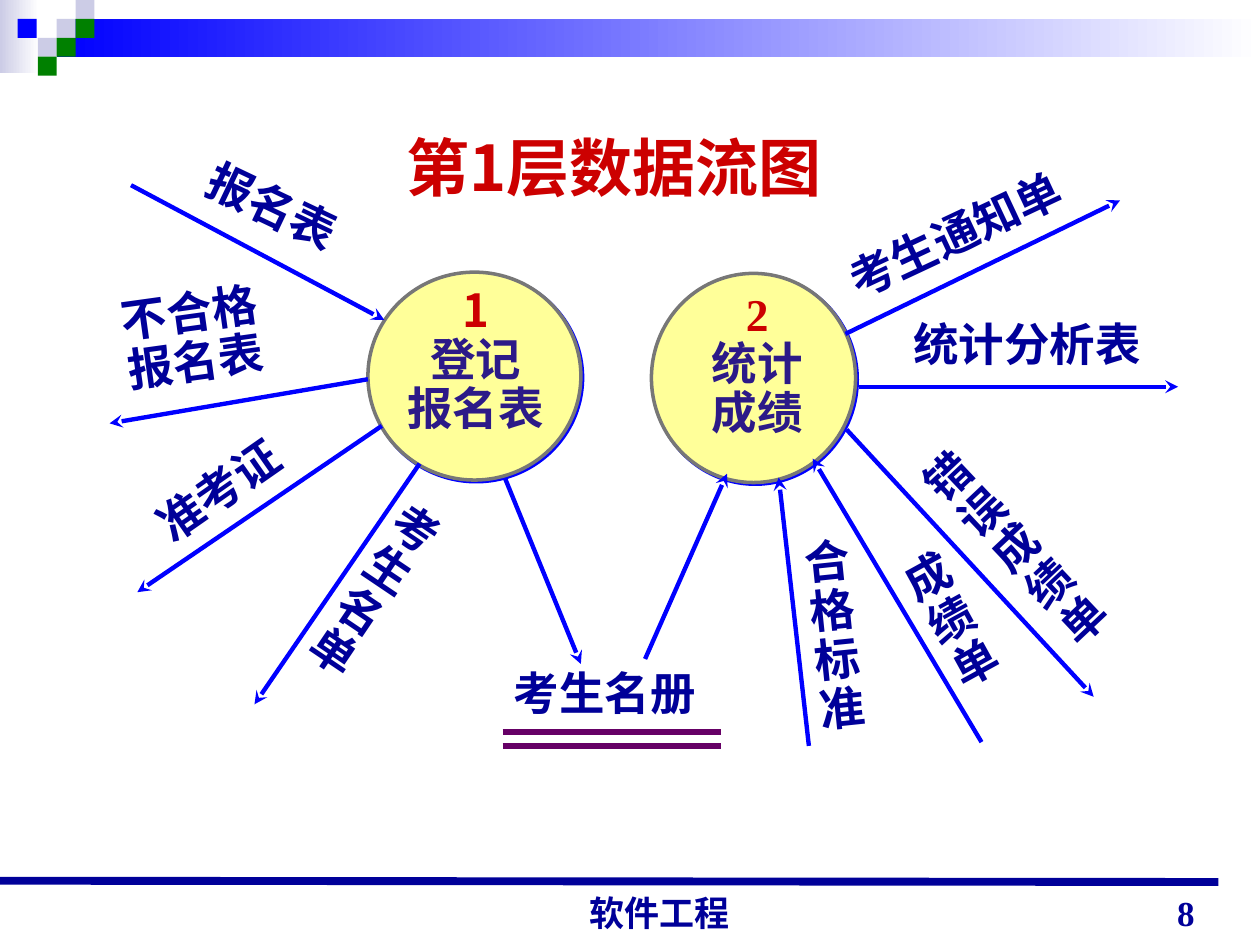
import pptx
import pptx.util
import pptx.dml.color
import pptx.enum.shapes
import pptx.enum.text
import pptx.oxml
import pptx.oxml.ns
from lxml import etree

THEME = {
    "white": "FFFFFF", "mist": "CCCCE6", "blue": "0000FF", "green": "008000",
    "navy": "000099", "red": "CC0000", "indigo": "2C1A88", "plum": "660066",
    "cream": "FFFF99", "grey": "777777",
    "sans": "Noto Sans CJK SC", "serif": "Times New Roman",
    "title": 36, "label": 26, "foot": 20,
    "flow": 2.5, "store": 3, "rim": 2, "rule": 4.5,
}
SHAPE = pptx.enum.shapes.MSO_SHAPE
ALIGN = pptx.enum.text.PP_ALIGN
FIT = pptx.enum.text.MSO_AUTO_SIZE
ANCHOR = pptx.enum.text.MSO_ANCHOR
qn = pptx.oxml.ns.qn

deck = pptx.Presentation()
deck.slide_width = pptx.util.Inches(10)
deck.slide_height = pptx.util.Inches(7.5)
slide = deck.slides.add_slide(deck.slide_layouts[6])
shapes = slide.shapes

# Grid of 100 columns by 75 rows of square cells
CELL = deck.slide_width / 100


def line(x1, y1, x2, y2, tint, width, arrow=False):
    ends = [round(v * CELL) for v in (x1, y1, x2, y2)]
    item = shapes.add_connector(pptx.enum.shapes.MSO_CONNECTOR.STRAIGHT, *ends)
    item.line.color.rgb = pptx.dml.color.RGBColor.from_string(THEME[tint])
    item.line.width = pptx.util.Pt(THEME[width])
    props = item._element.spPr
    if arrow:
        etree.SubElement(props.find(qn("a:ln")), qn("a:tailEnd"), type="stealth")
    etree.SubElement(props, qn("a:effectLst"))


def text(area, rows, size="label", turn=0, align="LEFT", space=1.0, grow=True, wrap=True):
    """Each row is (words, colour, font)."""
    box = shapes.add_textbox(*[round(v * CELL) for v in area])
    box.rotation = turn
    frame = box.text_frame
    frame.word_wrap = wrap
    frame.auto_size = FIT.SHAPE_TO_FIT_TEXT if grow else FIT.NONE
    frame.vertical_anchor = ANCHOR.TOP if grow else ANCHOR.BOTTOM
    for i, (words, tint, face) in enumerate(rows):
        para = frame.add_paragraph() if i else frame.paragraphs[0]
        para.alignment = getattr(ALIGN, align)
        para.line_spacing = space
        run = para.add_run()
        run.text = words
        run.font.size = pptx.util.Pt(THEME[size])
        run.font.bold = True
        run.font.name = THEME[face]
        run.font.color.rgb = pptx.dml.color.RGBColor.from_string(THEME[tint])
        etree.SubElement(run.font._element, qn("a:ea"), typeface=THEME["sans"])


# Header: two fading bars, then small tiles
tiles = [(0, 0, 3.1, 5.8, "mist", True), (4.5, 1.5, 95.5, 3, "blue", True)]
tiles += [(x, y, 1.5, 1.5, tint, False) for x, y, tint in [
    (4.5, 1.5, "mist"), (6, 0, "mist"), (6, 1.5, "green"), (3, 3, "mist"),
    (1.4, 1.5, "blue"), (4.5, 3, "green"), (3, 4.5, "green")]]
for *area, tint, fade in tiles:
    tile = shapes.add_shape(SHAPE.RECTANGLE, *[round(v * CELL) for v in area])
    tile.shadow.inherit = False
    tile.line.fill.background()
    if fade:
        tile.fill.gradient()
        tile.fill.gradient_angle = 180
        for stop, name in zip(tile.fill.gradient_stops, ("white", tint)):
            stop.color.rgb = pptx.dml.color.RGBColor.from_string(THEME[name])
    else:
        tile.fill.solid()
        tile.fill.fore_color.rgb = pptx.dml.color.RGBColor.from_string(THEME[tint])

# Footer rule
line(0, 69.9, 96.7, 70, "navy", "rule")

# Process circles with a hard blue shadow
for area in [(29.2, 21.6, 16.9, 16.5), (51.7, 21.7, 16.2, 16.6)]:
    disc = shapes.add_shape(SHAPE.OVAL, *[round(v * CELL) for v in area])
    disc.shadow.inherit = False
    disc.fill.solid()
    disc.fill.fore_color.rgb = pptx.dml.color.RGBColor.from_string(THEME["cream"])
    disc.line.color.rgb = pptx.dml.color.RGBColor.from_string(THEME["grey"])
    disc.line.width = pptx.util.Pt(THEME["rim"])
    glow = etree.SubElement(disc._element.spPr.find(qn("a:effectLst")), qn("a:outerShdw"),
                            blurRad="0", dist=str(pptx.util.Pt(1.4)), dir="2700000",
                            algn="ctr", rotWithShape="0")
    etree.SubElement(glow, qn("a:srgbClr"), val=THEME["blue"])

# Process names
for area, mark, face, names in [
        ((29.7, 22.4, 16.1, 12.7), "1", "sans", ("登记", "报名表")),
        ((54.1, 22.7, 12, 12.7), "2", "serif", ("统计", "成绩"))]:
    rows = [(mark, "red", face)] + [(name, "indigo", "sans") for name in names]
    text(area, rows, align="CENTER", space=0.9)

# Data flows, each pointing at its second end
for ends in [
        (10.4, 14.7, 30.5, 25.4), (29.2, 30.1, 8.7, 33.6), (30.3, 33.8, 10.9, 47),
        (33.3, 36.8, 20.2, 55.9), (40.1, 38, 46.1, 52.7), (51.2, 52.3, 57.7, 37.6),
        (67.1, 26.5, 88.9, 15.9), (68.2, 30.7, 93.5, 30.7), (67.2, 34.1, 86.8, 55.3),
        (64.2, 59.2, 61.8, 37.9), (77.9, 58.9, 64.5, 36.4)]:
    line(*ends, "blue", "flow", arrow=True)

# Flow labels; narrow boxes stack their characters
for area, turn, space, rows in [
        ((15.2, 14, 14.3, 5.3), 25.5, 1, ["报名表"]),
        ((8.9, 22.4, 14.6, 8.8), 352.1, 0.9, ["不合格", "报名表"]),
        ((10.7, 35.5, 15.2, 5.3), 325.1, 1, ["准考证"]),
        ((26.8, 38.9, 6.2, 16.6), 34.1, 0.9, ["考生名", "单"]),
        ((65.7, 15.5, 21.9, 5.3), 334.9, 1, ["考生通知单"]),
        ((71.5, 24.6, 27.4, 5.3), 0, 1, ["统计分析表"]),
        ((77.9, 33.2, 6.1, 20.5), 316.7, 0.9, ["错误成绩单"]),
        ((72.8, 42.9, 6.1, 12.7), 331.2, 0.9, ["成绩单"]),
        ((63.5, 42.2, 7.2, 16.6), 354.1, 0.9, ["合", "格", "标", "准"])]:
    text(area, [(row, "navy", "sans") for row in rows], turn=turn, space=space)

# Data store
text((39.8, 52.3, 16.5, 5.3), [("考生名册", "navy", "sans")], wrap=False)
for y in (58.1, 59.2):
    line(39.9, y, 57.2, y, "plum", "store")

# Title, footer and page number
text((25.4, 9.7, 46.7, 7), [("第1层数据流图", "red", "sans")], "title", align="CENTER")
text((36.5, 70.5, 31.7, 4.1), [("软件工程", "navy", "serif")], "foot", align="CENTER", grow=False)
text((72.5, 69.6, 23.3, 5), [("8", "navy", "serif")], "foot", align="RIGHT", grow=False)

deck.save("out.pptx")
